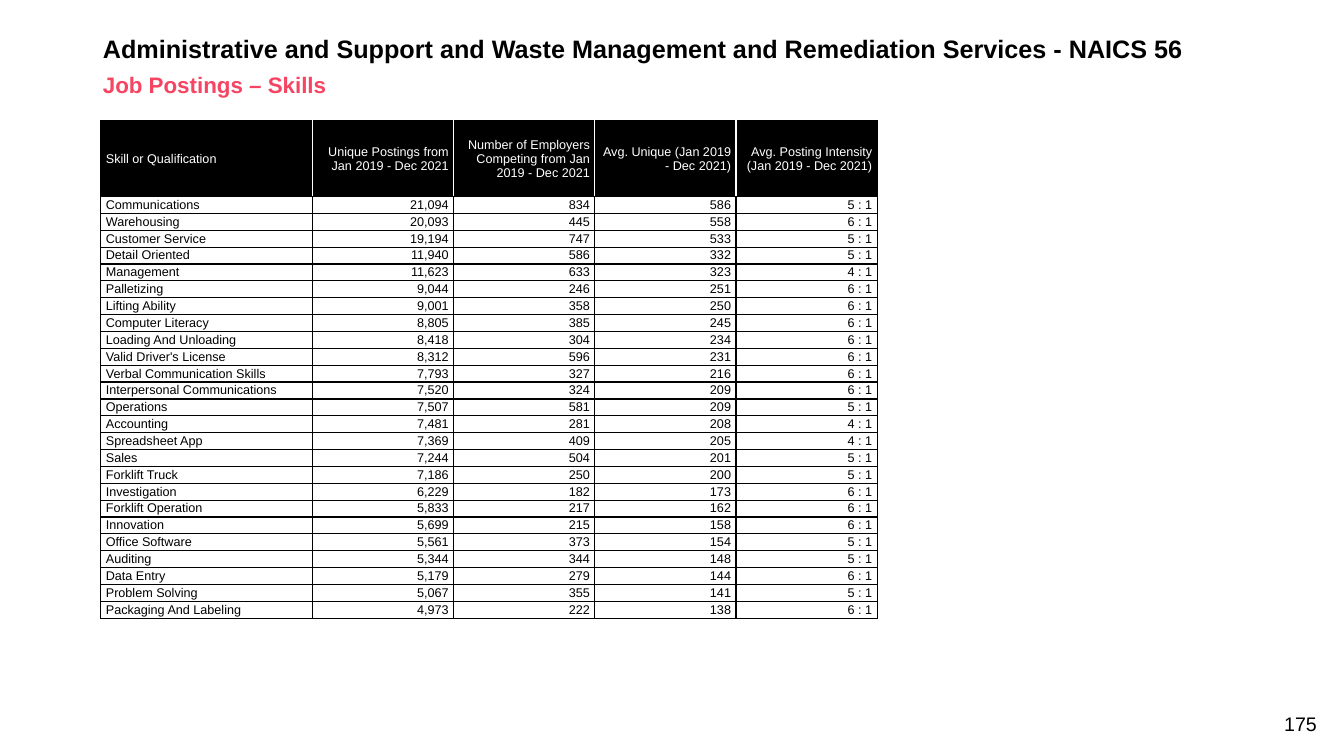
"""Build the job postings skills slide for NAICS 56."""
from lxml.etree import SubElement as Sub
from pptx import Presentation
from pptx.dml.color import RGBColor
from pptx.enum.text import MSO_ANCHOR as Anchor, MSO_AUTO_SIZE as Fit, PP_ALIGN as Align
from pptx.oxml.ns import qn
from pptx.util import Inches, Pt

BLACK = RGBColor(0, 0, 0)
WHITE = RGBColor(255, 255, 255)
PINK = RGBColor(0xF5, 0x45, 0x62)

HEAD = [
    "Skill or Qualification",
    "Unique Postings from Jan 2019 - Dec 2021",
    "Number of Employers Competing from Jan 2019 - Dec 2021",
    "Avg. Unique (Jan 2019 - Dec 2021)",
    "Avg. Posting Intensity (Jan 2019 - Dec 2021)",
]
SKILLS = [
    ("Communications", 21094, 834, 586, 5),
    ("Warehousing", 20093, 445, 558, 6),
    ("Customer Service", 19194, 747, 533, 5),
    ("Detail Oriented", 11940, 586, 332, 5),
    ("Management", 11623, 633, 323, 4),
    ("Palletizing", 9044, 246, 251, 6),
    ("Lifting Ability", 9001, 358, 250, 6),
    ("Computer Literacy", 8805, 385, 245, 6),
    ("Loading And Unloading", 8418, 304, 234, 6),
    ("Valid Driver's License", 8312, 596, 231, 6),
    ("Verbal Communication Skills", 7793, 327, 216, 6),
    ("Interpersonal Communications", 7520, 324, 209, 6),
    ("Operations", 7507, 581, 209, 5),
    ("Accounting", 7481, 281, 208, 4),
    ("Spreadsheet App", 7369, 409, 205, 4),
    ("Sales", 7244, 504, 201, 5),
    ("Forklift Truck", 7186, 250, 200, 5),
    ("Investigation", 6229, 182, 173, 6),
    ("Forklift Operation", 5833, 217, 162, 6),
    ("Innovation", 5699, 215, 158, 6),
    ("Office Software", 5561, 373, 154, 5),
    ("Auditing", 5344, 344, 148, 5),
    ("Data Entry", 5179, 279, 144, 6),
    ("Problem Solving", 5067, 355, 141, 5),
    ("Packaging And Labeling", 4973, 222, 138, 6),
]


def write(frame, text, size, color, align, bold=False):
    para = frame.paragraphs[0]
    para.alignment = align
    run = para.add_run()
    run.text = text
    run.font.name = "Arial"
    run.font.size = Pt(size)
    run.font.bold = bold
    run.font.color.rgb = color
    return para


def edge(cell, side, color):
    line = Sub(cell._tc.get_or_add_tcPr(), qn("a:ln" + side), w=str(Pt(1)))
    fill = Sub(line, qn("a:solidFill"))
    Sub(fill, qn("a:srgbClr"), val=str(color))


deck = Presentation()
deck.slide_width, deck.slide_height = Inches(13.33), Inches(7.5)
slide = deck.slides.add_slide(deck.slide_layouts[1])

title, body = slide.placeholders
lines = [
    (title, 0.3, 0.4, 18, BLACK,
     "Administrative and Support and Waste Management and Remediation Services - NAICS 56"),
    (body, 0.71, 0.3, 16, PINK, "Job Postings – Skills"),
]
for box, top, high, size, color, text in lines:
    box.left, box.top = Inches(0.92), Inches(top)
    box.width, box.height = Inches(11.5), Inches(high)
    frame = box.text_frame
    frame.auto_size = Fit.NONE
    frame.vertical_anchor = Anchor.MIDDLE
    props = frame.paragraphs[0]._p.get_or_add_pPr()
    props.set("marL", "0")
    props.set("indent", "0")
    Sub(props, qn("a:buNone"))
    para = write(frame, text, size, color, Align.LEFT, True)
    para.line_spacing = 0.9
    para.space_before = Pt(0)

page = slide.shapes.add_textbox(Inches(12.36), Inches(7.01), Inches(0.8), Inches(0.34))
page.text_frame.word_wrap = True
page.text_frame.vertical_anchor = Anchor.BOTTOM
write(page.text_frame, "175", 14, BLACK, Align.RIGHT)

rows = [HEAD] + [
    (skill, f"{posts:,}", str(firms), str(mean), f"{rate} : 1")
    for skill, posts, firms, mean, rate in SKILLS
]
wide = [2.1] + [1.4] * 4
tall = [0.75] + [0.16] * len(SKILLS)
grid = slide.shapes.add_table(
    len(rows), len(HEAD), Inches(1), Inches(1.2), Inches(sum(wide)), Inches(sum(tall))
).table
grid.first_row = grid.horz_banding = False
for col, width in zip(grid.columns, wide):
    col.width = Inches(width)

last = len(HEAD) - 1
for r, row in enumerate(rows):
    grid.rows[r].height = Inches(tall[r])
    for c, text in enumerate(row):
        cell = grid.cell(r, c)
        cell.margin_left = cell.margin_right = Inches(0.05)
        cell.margin_top = cell.margin_bottom = Pt(0.6)
        cell.vertical_anchor = Anchor.MIDDLE
        top = r == 0
        edge(cell, "L", WHITE if top and c > 0 else BLACK)
        edge(cell, "R", WHITE if top and c < last else BLACK)
        edge(cell, "T", BLACK)
        edge(cell, "B", BLACK)
        if top:
            cell.fill.solid()
            cell.fill.fore_color.rgb = BLACK
        else:
            cell.fill.background()
        write(cell.text_frame, text, 9, WHITE if top else BLACK,
              Align.RIGHT if c else Align.LEFT)

deck.save("out.pptx")
